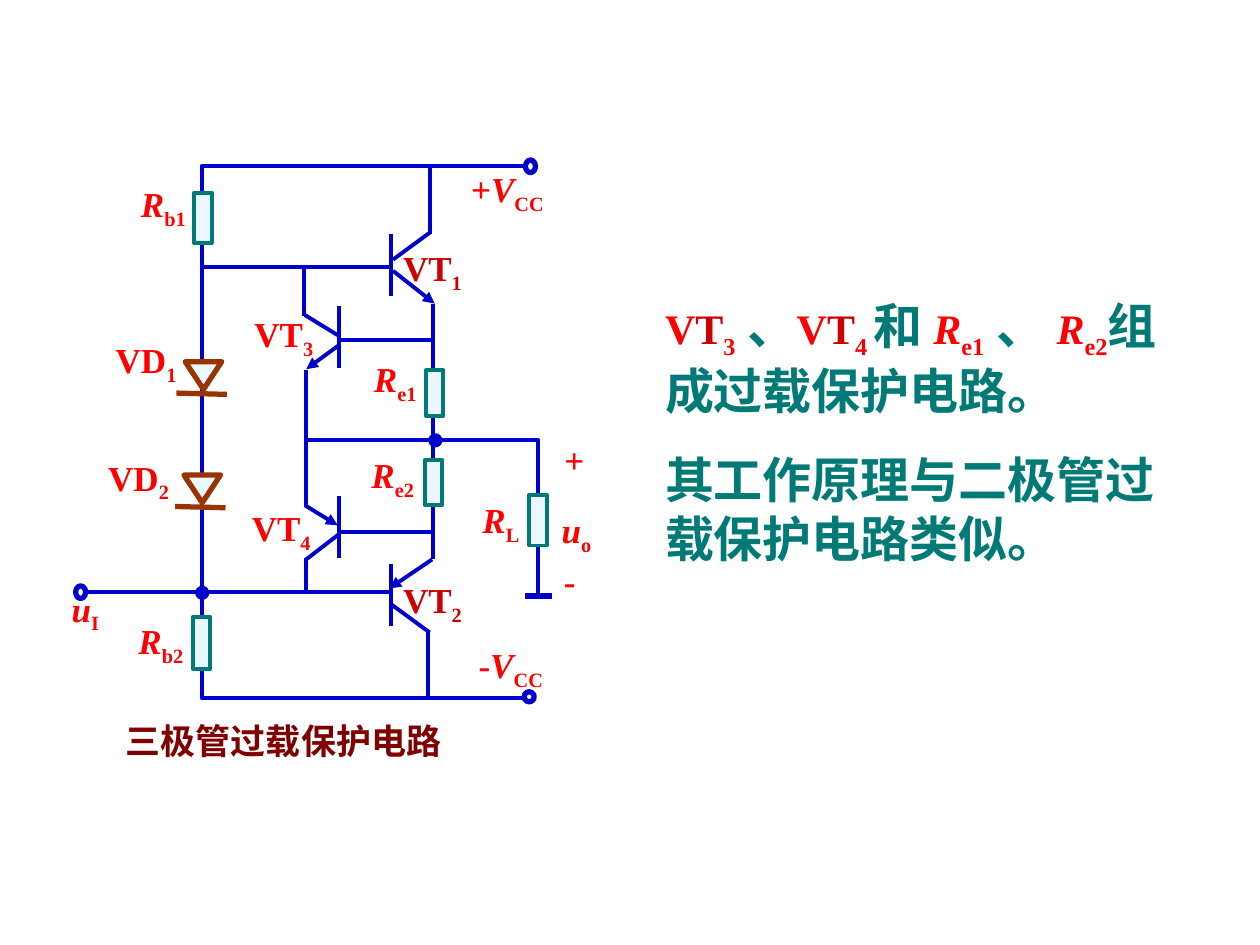
from lxml.etree import SubElement
from pptx import Presentation
from pptx.dml.color import RGBColor
from pptx.enum.shapes import MSO_CONNECTOR, MSO_SHAPE
from pptx.oxml.ns import qn
from pptx.util import Inches, Pt

BLUE = RGBColor(0x00, 0x00, 0xCC)
TEAL = RGBColor(0x00, 0x7A, 0x77)
PALE = RGBColor(0xEB, 0xF7, 0xFF)
BROWN = RGBColor(0x99, 0x33, 0x00)
RED = RGBColor(0xFF, 0x00, 0x00)
DARK_RED = RGBColor(0xCC, 0x00, 0x00)
MAROON = RGBColor(0x80, 0x00, 0x00)
FONT = "Times New Roman"

# Wires with corners: lists of points
RAILS = [
    [(2.43, 3.49), (4.27, 3.49), (4.27, 4.71)],               # output to load
    [(4.16, 1.32), (1.6, 1.32), (1.6, 5.54), (4.14, 5.54)],   # supply loop
]
# Straight wires: x1, y1, x2, y2
WIRES = [
    (3.44, 2.41, 3.44, 4.44), (0.69, 4.7, 3.1, 4.7), (1.6, 2.12, 3.1, 2.12),
    (3.4, 5.01, 3.4, 5.55), (3.41, 1.32, 3.41, 1.86),
    (3.43, 2.7, 2.68, 2.7), (3.43, 4.22, 2.68, 4.22),
    (2.43, 2.94, 2.43, 4.02), (2.43, 4.43, 2.43, 4.7), (2.41, 2.11, 2.41, 2.51),
]
# Transistors: base bar (x, top), collector line, emitter line with arrow
BAR = 0.49
TRANSISTORS = [
    ((3.1, 1.86), (3.12, 2.06, 3.42, 1.84), (3.12, 2.15, 3.45, 2.41)),   # VT1
    ((3.1, 4.48), (3.11, 4.8, 3.41, 5.02), (3.43, 4.44, 3.09, 4.67)),    # VT2
    ((2.69, 2.43), (2.42, 2.5, 2.68, 2.66), (2.69, 2.74, 2.43, 2.93)),   # VT3
    ((2.69, 3.94), (2.69, 4.24, 2.43, 4.44), (2.42, 4.01, 2.68, 4.17)),  # VT4
]
GROUND = (4.17, 4.73, 4.38, 4.73)
NODES = [(1.58, 4.68), (3.43, 3.47)]
TERMINALS = [(0.6, 4.65, 0.1), (4.16, 5.49, 0.08), (4.17, 1.27, 0.1)]  # x, y, height
RESISTORS = [(4.2, 3.93, 0.4), (1.53, 4.9, 0.41), (1.54, 1.53, 0.4),
             (3.37, 3.65, 0.36), (3.38, 2.94, 0.36)]                   # x, y, height
DIODES = [(1.46, 3.77), (1.47, 2.87)]

# Run kinds: size, colour, italic, subscript
STYLES = {
    "red": (20, RED, False, False), "var": (20, RED, True, False),
    "sub": (20, RED, False, True), "dark": (20, DARK_RED, False, False),
    "dark_sub": (20, DARK_RED, False, True), "caption": (20, MAROON, False, False),
    "big": (24, RED, False, False), "big_dark": (24, DARK_RED, False, False),
    "big_var": (24, RED, True, False), "big_sub": (24, RED, False, True),
    "body": (28, TEAL, False, False),
}
# Labels: x, y, width, runs of (text, kind)
LABELS = [
    (3.64, 1.28, 0.96, [("+", "red"), ("V", "var"), ("CC", "sub")]),
    (3.7, 5.06, 0.96, [("-", "red"), ("V", "var"), ("CC", "sub")]),
    (0.47, 4.61, 0.6, [("u", "var"), ("I", "sub")]),
    (4.38, 3.43, 0.47, [("+", "var")]),
    (4.38, 4.39, 0.47, [("-", "var")]),
    (3.73, 3.91, 0.71, [("R", "var"), ("L", "sub")]),
    (4.36, 3.99, 0.64, [("u", "var"), ("o", "sub")]),
    (1, 4.87, 0.82, [("R", "var"), ("b2", "sub")]),
    (1.02, 1.4, 0.86, [("R", "var"), ("b1", "sub")]),
    (2.85, 3.55, 0.86, [("R", "var"), ("e2", "sub")]),
    (2.87, 2.79, 0.77, [("R", "var"), ("e1", "sub")]),
    (0.76, 3.57, 0.89, [("VD", "red"), ("2", "sub")]),
    (0.82, 2.64, 1, [("VD", "red"), ("1", "sub")]),
    (3.1, 4.54, 0.92, [("VT", "dark"), ("2", "dark_sub")]),
    (3.1, 1.91, 0.89, [("VT", "dark"), ("1", "dark_sub")]),
    (1.92, 2.43, 0.98, [("VT", "red"), ("3", "sub")]),
    (1.9, 3.97, 0.94, [("VT", "red"), ("4", "sub")]),
    (0.9, 5.66, 4.28, [("三极管过载保护电路", "caption")]),
]
EXPLANATION = [
    [("V", "big"), ("T", "big_dark"), ("3", "big_sub"), (" 、", "body"),
     ("V", "big"), ("T", "big_dark"), ("4 ", "big_sub"), ("和 ", "body"),
     ("R", "big_var"), ("e1", "big_sub"), (" 、 ", "body"),
     ("R", "big_var"), ("e2", "big_sub"), ("组成过载保护电路。", "body")],
    [("其工作原理与二极管过载保护电路类似。", "body")],
]

prs = Presentation()
prs.slide_width, prs.slide_height = Inches(10), Inches(7.5)
s = prs.slides.add_slide(prs.slide_layouts[6])


def add_line(ends, color=BLUE, width=2.25, arrow=False):
    c = s.shapes.add_connector(MSO_CONNECTOR.STRAIGHT, *map(Inches, ends))
    c.line.color.rgb, c.line.width = color, Pt(width)
    if arrow:
        SubElement(c.line._get_or_add_ln(), qn("a:tailEnd"), type="triangle")
    SubElement(c._element.spPr, qn("a:effectLst"))


def paint(sp, fill, line, width):
    sp.shadow.inherit = False
    if fill is None:
        sp.fill.background()
    else:
        sp.fill.solid()
        sp.fill.fore_color.rgb = fill
    sp.line.color.rgb, sp.line.width = line, Pt(width)


def add_part(kind, box, fill, line, width):
    sp = s.shapes.add_shape(kind, *map(Inches, box))
    paint(sp, fill, line, width)
    return sp


def add_text(box, paragraphs, space=0):
    tf = s.shapes.add_textbox(*map(Inches, box)).text_frame
    tf.word_wrap = True
    for i, runs in enumerate(paragraphs):
        p = tf.add_paragraph() if i else tf.paragraphs[0]
        p.space_before = Pt(space if i else 0)
        for text, kind in runs:
            size, color, italic, subscript = STYLES[kind]
            r = p.add_run()
            r.text = text
            r.font.color.rgb = color
            look = {"name": FONT, "size": Pt(size), "bold": True, "italic": italic}
            for name, value in look.items():
                setattr(r.font, name, value)
            if subscript:
                r.font._element.set("baseline", "-25000")


# Wiring
for rail in RAILS:
    points = [(Inches(x), Inches(y)) for x, y in rail]
    path = s.shapes.build_freeform(*points[0])
    path.add_line_segments(points[1:], close=False)
    paint(path.convert_to_shape(), None, BLUE, 2.25)
for wire in WIRES:
    add_line(wire)
add_line(GROUND, width=3)

# Components
for (x, y), collector, emitter in TRANSISTORS:
    add_line((x, y, x, y + BAR))
    add_line(collector)
    add_line(emitter, arrow=True)
for x, y in NODES:
    add_part(MSO_SHAPE.OVAL, (x, y, 0.05, 0.05), BLUE, BLUE, 4.5)
for x, y, h in TERMINALS:
    add_part(MSO_SHAPE.OVAL, (x, y, 0.08, h), None, BLUE, 3)
for x, y, h in RESISTORS:
    add_part(MSO_SHAPE.RECTANGLE, (x, y, 0.14, h), PALE, TEAL, 2.25)
for x, y in DIODES:
    triangle = add_part(MSO_SHAPE.ISOSCELES_TRIANGLE, (x, y, 0.29, 0.22), PALE, BROWN, 3)
    triangle.rotation = 180
    add_line((x - 0.07, y + 0.25, x + 0.33, y + 0.26), BROWN, 3)

# Labels and explanation
for x, y, w, runs in LABELS:
    add_text((x, y, w, 0.48), [runs])
add_text((5.18, 2.3, 4.3, 2.3), EXPLANATION, space=17.5)

prs.save("out.pptx")
